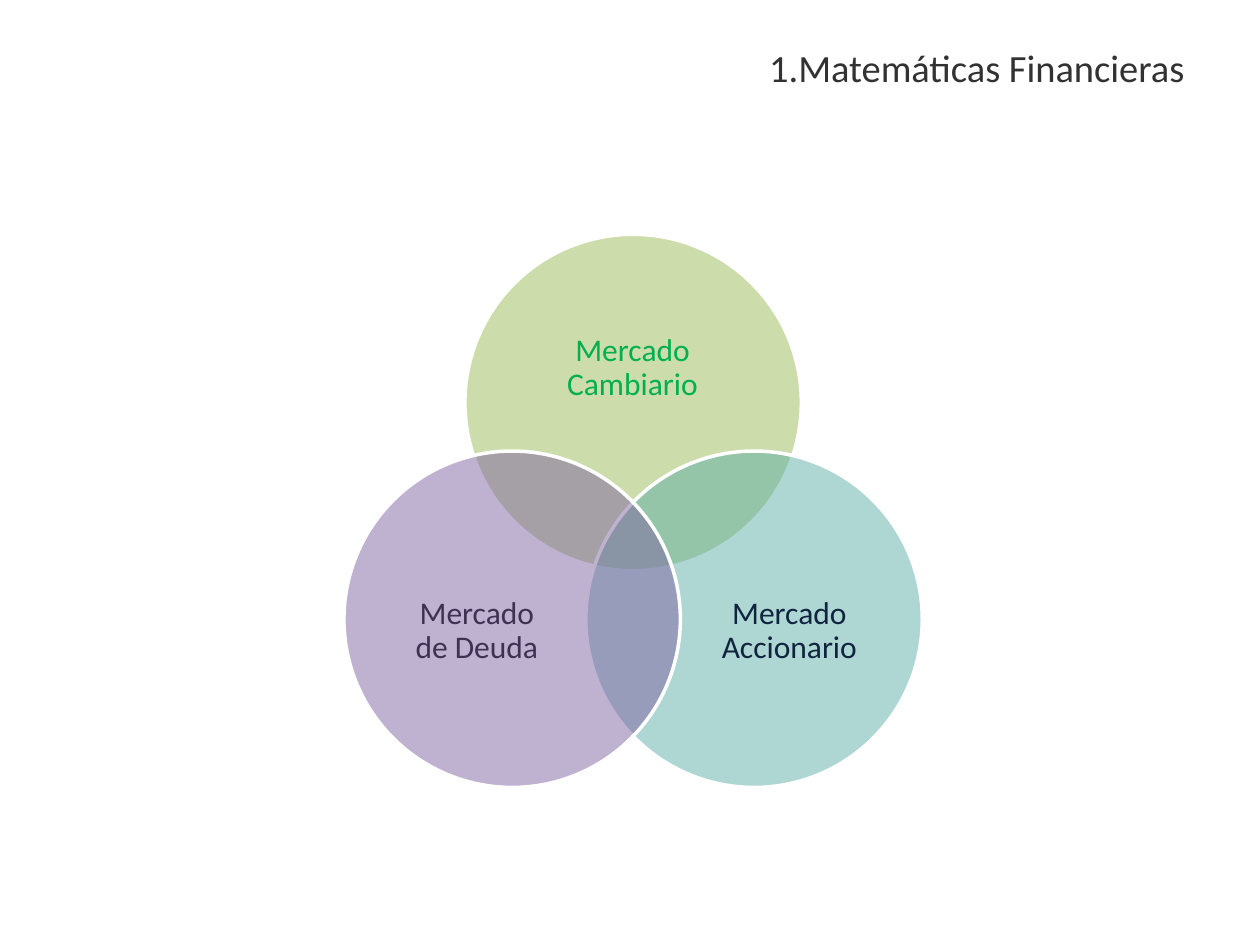
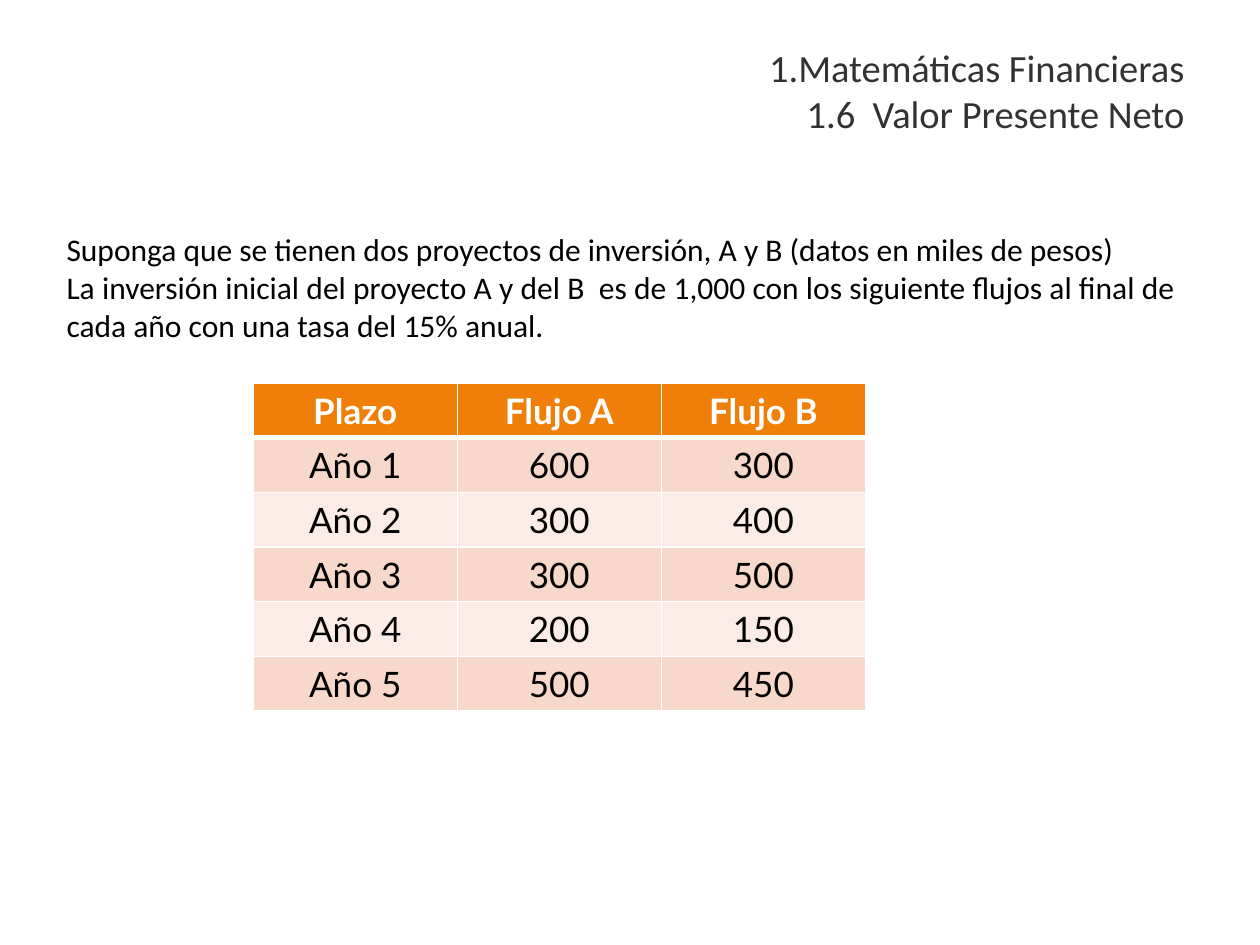
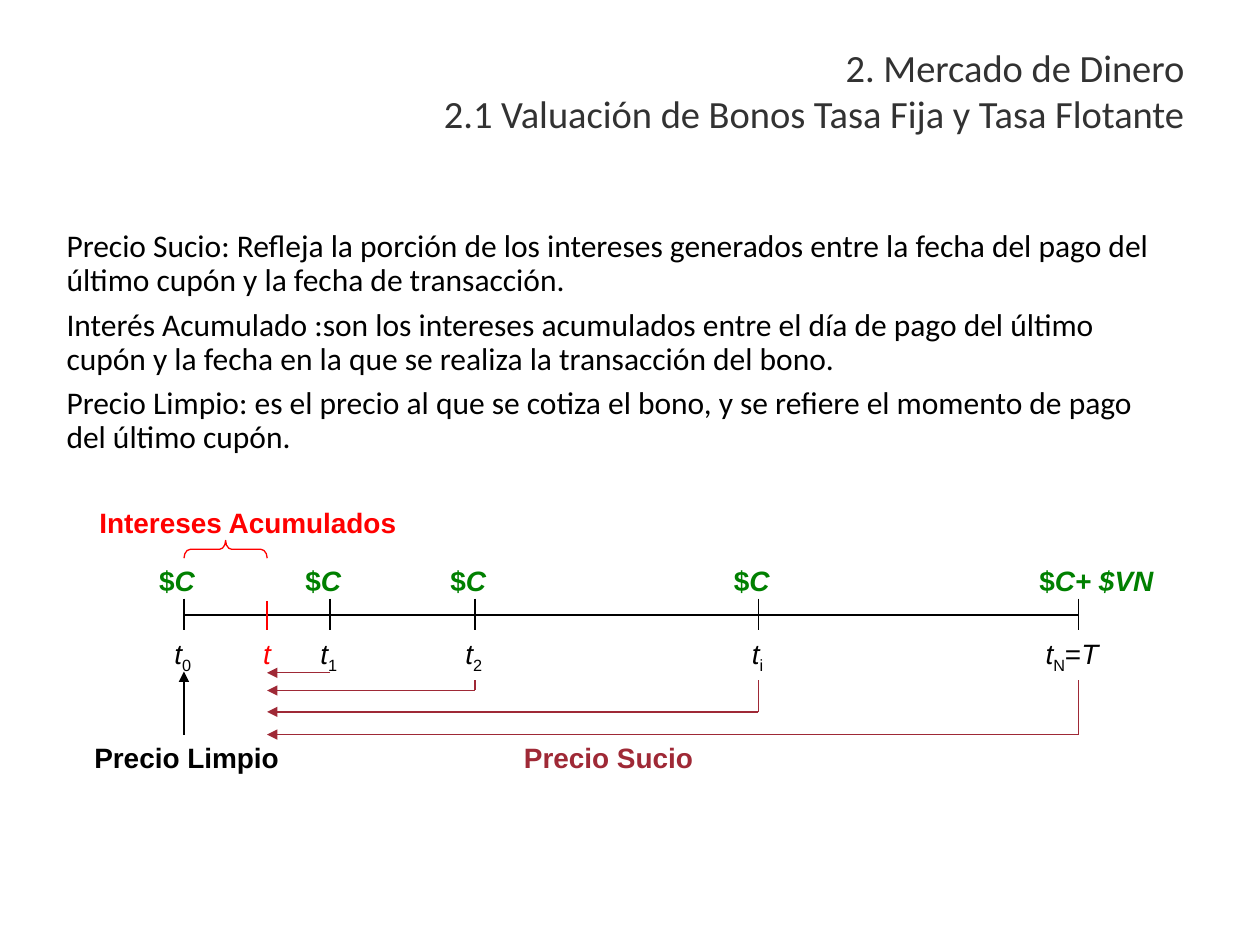
from dataclasses import dataclass, replace
from typing import NamedTuple

import lxml.etree
import pptx
import pptx.dml.color
import pptx.enum.shapes
import pptx.enum.text
import pptx.oxml.ns
import pptx.presentation
import pptx.shapes.autoshape
import pptx.shapes.connector
import pptx.slide
import pptx.table
import pptx.text.text
import pptx.util

RGB = pptx.dml.color.RGBColor
ALIGN = pptx.enum.text.PP_ALIGN
ANCHOR = pptx.enum.text.MSO_ANCHOR
SHAPE = pptx.enum.shapes.MSO_SHAPE
qn = pptx.oxml.ns.qn

WHITE = RGB(0xFF, 0xFF, 0xFF)
BLACK = RGB(0, 0, 0)
CHARCOAL = RGB(0x32, 0x32, 0x32)
LIME = RGB(0x9B, 0xBB, 0x59)
TEAL = RGB(0x5E, 0xAF, 0xA6)
PURPLE = RGB(0x80, 0x64, 0xA2)
EMERALD = RGB(0, 0xB0, 0x50)
NAVY = RGB(0x0F, 0x24, 0x3E)
PLUM = RGB(0x40, 0x31, 0x52)
ORANGE = RGB(0xF0, 0x7F, 0x09)
PEACH = RGB(0xF9, 0xD8, 0xCC)
PALE_PEACH = RGB(0xFC, 0xEC, 0xE7)
GREEN = RGB(0, 0x80, 0)
RED = RGB(0xFF, 0, 0)
WINE = RGB(0x9F, 0x29, 0x36)

SLIDE_WIDTH = pptx.util.Inches(10)
SLIDE_HEIGHT = pptx.util.Inches(7.5)
COLUMNS, ROWS = 100, 75


class Area(NamedTuple):
    left: float
    top: float
    width: float
    height: float


class Point(NamedTuple):
    column: float
    row: float


@dataclass(frozen=True)
class Span:
    text: str
    color: RGB = BLACK
    size: float = 18
    font: str = "Calibri"
    bold: bool = False
    italic: bool = False
    subscript: bool = False


@dataclass(frozen=True)
class ParaStyle:
    align: ALIGN = ALIGN.LEFT
    spacing: float = 1
    after: float = 0


@dataclass(frozen=True)
class Market:
    name: str
    circle: Point
    fill: RGB
    ink: RGB
    label: Area


@dataclass(frozen=True)
class Moment:
    column: float
    label: tuple[Span, ...]
    label_area: Area
    coupon: str
    coupon_area: Area
    centred: bool = True


@dataclass(frozen=True)
class Flow:
    column: float
    row: float
    drops: bool = True


TITLE_AREA = Area(5, 3, 90, 12.5)
BODY_AREA = Area(4.3, 17.8, 90, 50.4)

CIRCLE_SIZE = 26.7
MARKETS = [
    Market("Mercado Cambiario", Point(36.9, 18.6), LIME, EMERALD, Area(43.3, 25, 13.8, 8.5)),
    Market("Mercado Accionario", Point(46.5, 35.8), TEAL, NAVY, Area(57, 44.9, 11.3, 10.4)),
    Market("Mercado de Deuda", Point(27.3, 35.8), PURPLE, PLUM, Area(32.2, 44.9, 11.3, 10.4)),
]

PROJECT_TEXT = [
    "Suponga que se tienen dos proyectos de inversión, A y B (datos en miles de pesos)",
    "La inversión inicial del proyecto A y del B  es de 1,000 con los siguiente flujos al final de "
    "cada año con una tasa del 15% anual.",
]
FLOW_TABLE = [
    ("Plazo", "Flujo A", "Flujo B"),
    ("Año 1", "600", "300"),
    ("Año 2", "300", "400"),
    ("Año 3", "300", "500"),
    ("Año 4", "200", "150"),
    ("Año 5", "500", "450"),
]

PRICE_TEXT = [
    "Precio Sucio: Refleja la porción de los intereses generados entre la fecha del pago del "
    "último cupón y la fecha de transacción.",
    "Interés Acumulado :son los intereses acumulados entre el día de pago del último cupón y la "
    "fecha en la que se realiza la transacción del bono.",
    "Precio Limpio: es el precio al que se cotiza el bono, y se refiere el momento de pago del "
    "último cupón.",
]

AXIS_ROW, TICK_TOP, TICK_BOTTOM = 48.8, 47.5, 50
TEXT_HEIGHT = 3.3
COUPON_TOP = TICK_TOP - TEXT_HEIGHT
DROP_TOP = 54
TRADE_COLUMN = 21.2
SYMBOL = Span("t", size=16, font="Arial", italic=True)
CAPTION = Span("", size=16, font="Arial", bold=True)


def subscript(text: str) -> Span:
    return replace(SYMBOL, text=text, italic=False, subscript=True)


def payment(column: float, index: str, label_width: float = 3.5) -> Moment:
    return Moment(
        column,
        (SYMBOL, subscript(index)),
        Area(column - label_width / 2, TICK_BOTTOM, label_width, TEXT_HEIGHT),
        "C",
        Area(column - 2.95, COUPON_TOP, 5.9, TEXT_HEIGHT),
    )


MOMENTS = [
    payment(14.6, "0"),
    payment(26.2, "1"),
    payment(37.7, "2"),
    payment(60.2, "i", 3),
    Moment(
        85.6,
        (SYMBOL, subscript("N"), replace(SYMBOL, text="=", italic=False), replace(SYMBOL, text="T")),
        Area(82, TICK_BOTTOM, 6.4, TEXT_HEIGHT),
        "C+ $VN",
        Area(81.5, COUPON_TOP, 11.8, TEXT_HEIGHT),
        centred=False,
    ),
]
FLOWS = [Flow(26.2, 53.4, False), Flow(37.7, 54.8), Flow(60.2, 56.5), Flow(85.6, 58.3)]
CAPTIONS = [
    (Area(6.5, 58.3, 19.8, TEXT_HEIGHT), "Precio Limpio", BLACK),
    (Area(40.6, 58.3, 19.8, TEXT_HEIGHT), "Precio Sucio", WINE),
    (Area(6.9, 39.6, 27.8, TEXT_HEIGHT), "Intereses Acumulados", RED),
]


def across(columns: float) -> int:
    return round(SLIDE_WIDTH * columns / COLUMNS)


def down(rows: float) -> int:
    return round(SLIDE_HEIGHT * rows / ROWS)


def place(area: Area) -> tuple[int, int, int, int]:
    return across(area.left), down(area.top), across(area.width), down(area.height)


def add_span(para: pptx.text.text._Paragraph, span: Span) -> None:
    run = para.add_run()
    run.text = span.text
    font = run.font
    font.name, font.size = span.font, pptx.util.Pt(span.size)
    font.bold, font.italic = span.bold, span.italic
    font.color.rgb = span.color
    if span.subscript:
        run._r.get_or_add_rPr().set("baseline", "-25000")


def add_box(
    page: pptx.slide.Slide,
    area: Area,
    paras: list[tuple[Span, ...]],
    style: ParaStyle = ParaStyle(),
    wrap: bool = True,
) -> pptx.shapes.autoshape.Shape:
    box = page.shapes.add_textbox(*place(area))
    frame = box.text_frame
    frame.word_wrap = wrap
    for index, spans in enumerate(paras):
        para = frame.add_paragraph() if index else frame.paragraphs[0]
        para.alignment, para.line_spacing = style.align, style.spacing
        para.space_before, para.space_after = pptx.util.Pt(0), pptx.util.Pt(style.after)
        for span in spans:
            add_span(para, span)
    return box


def add_line(
    page: pptx.slide.Slide, start: Point, end: Point, color: RGB = BLACK, arrow: bool = False
) -> pptx.shapes.connector.Connector:
    line = page.shapes.add_connector(
        pptx.enum.shapes.MSO_CONNECTOR.STRAIGHT,
        across(start.column), down(start.row), across(end.column), down(end.row),
    )
    line.line.color.rgb = color
    line.line.width = pptx.util.Pt(0.75)
    properties = line.element.spPr
    if arrow:
        lxml.etree.SubElement(properties.find(qn("a:ln")), qn("a:tailEnd"), type="triangle")
    lxml.etree.SubElement(properties, qn("a:effectLst"))
    return line


def add_page(deck: pptx.presentation.Presentation, *title: str) -> pptx.slide.Slide:
    page = deck.slides.add_slide(deck.slide_layouts[6])
    lines = [(Span(text, CHARCOAL, 22),) for text in title]
    add_box(page, TITLE_AREA, lines, ParaStyle(ALIGN.RIGHT))
    return page


def add_market(page: pptx.slide.Slide, market: Market) -> None:
    circle = page.shapes.add_shape(
        SHAPE.OVAL, *place(Area(*market.circle, CIRCLE_SIZE, CIRCLE_SIZE))
    )
    circle.shadow.inherit = False
    circle.fill.solid()
    circle.fill.fore_color.rgb = market.fill
    tint = circle.element.spPr.find(".//" + qn("a:srgbClr"))
    lxml.etree.SubElement(tint, qn("a:alpha"), val="50000")
    circle.line.color.rgb = WHITE
    circle.line.width = pptx.util.Pt(2)
    label = add_box(
        page, market.label, [(Span(market.name, market.ink),)], ParaStyle(ALIGN.CENTER, 0.9)
    )
    frame = label.text_frame
    frame.vertical_anchor = ANCHOR.MIDDLE
    frame.margin_left = frame.margin_right = frame.margin_top = frame.margin_bottom = 0


def set_borders(cell: pptx.table._Cell, bottom: float) -> None:
    properties = cell._tc.get_or_add_tcPr()
    for side, points in {"L": 1, "R": 1, "T": 1, "B": bottom}.items():
        border = lxml.etree.SubElement(
            properties, qn(f"a:ln{side}"), w=str(pptx.util.Pt(points))
        )
        fill = lxml.etree.SubElement(border, qn("a:solidFill"))
        lxml.etree.SubElement(fill, qn("a:srgbClr"), val=str(WHITE))


def add_flow_table(page: pptx.slide.Slide) -> None:
    area = Area(20.1, 30.4, 48.6, 26)
    table = page.shapes.add_table(len(FLOW_TABLE), len(FLOW_TABLE[0]), *place(area)).table
    table.horz_banding = False
    for row, values in enumerate(FLOW_TABLE):
        header = row == 0
        fill = ORANGE if header else PEACH if row % 2 else PALE_PEACH
        for column, value in enumerate(values):
            cell = table.cell(row, column)
            set_borders(cell, 3 if header else 1)
            cell.fill.solid()
            cell.fill.fore_color.rgb = fill
            para = cell.text_frame.paragraphs[0]
            para.alignment = ALIGN.CENTER
            add_span(para, Span(value, WHITE if header else BLACK, 20, "Lato", header))


def add_moment(page: pptx.slide.Slide, moment: Moment) -> pptx.shapes.autoshape.Shape:
    dollar = replace(CAPTION, text="$", color=GREEN)
    amount = replace(dollar, text=moment.coupon, italic=True)
    coupon = add_box(page, moment.coupon_area, [(dollar, amount)])
    label = add_box(page, moment.label_area, [moment.label], wrap=False)
    tick = add_line(page, Point(moment.column, TICK_TOP), Point(moment.column, TICK_BOTTOM))
    if moment.centred:
        tick.begin_connect(coupon, 2)
        tick.end_connect(label, 0)
    return label


def add_trade_date(page: pptx.slide.Slide) -> None:
    label = add_box(
        page,
        Area(TRADE_COLUMN - 1.3, TICK_BOTTOM, 2.6, TEXT_HEIGHT),
        [(replace(SYMBOL, color=RED),)],
        wrap=False,
    )
    tick = add_line(page, Point(TRADE_COLUMN, 47.7), Point(TRADE_COLUMN, TICK_BOTTOM), RED)
    tick.end_connect(label, 0)
    brace = page.shapes.add_shape(SHAPE.LEFT_BRACE, *place(Area(17.2, 40.3, 1.4, 6.6)))
    brace.rotation = 90
    brace.adjustments[0] = 0.35
    brace.shadow.inherit = False
    brace.fill.background()
    brace.line.color.rgb = RED
    brace.line.width = pptx.util.Pt(0.75)


def add_timeline(page: pptx.slide.Slide) -> None:
    first, last = MOMENTS[0].column, MOMENTS[-1].column
    add_line(page, Point(first, AXIS_ROW), Point(last, AXIS_ROW))
    labels = [add_moment(page, moment) for moment in MOMENTS]
    add_trade_date(page)
    for flow in FLOWS:
        corner = Point(flow.column, flow.row)
        add_line(page, corner, Point(TRADE_COLUMN, flow.row), WINE, arrow=True)
        if flow.drops:
            add_line(page, Point(flow.column, DROP_TOP), corner, WINE)
    for area, text, color in CAPTIONS:
        add_box(page, area, [(replace(CAPTION, text=text, color=color),)])
    clean_price = add_line(page, Point(first, 58.3), Point(first, 53.3), arrow=True)
    clean_price.end_connect(labels[0], 2)


def main() -> None:
    deck = pptx.Presentation()
    deck.slide_width, deck.slide_height = SLIDE_WIDTH, SLIDE_HEIGHT

    page = add_page(deck, "1.Matemáticas Financieras")
    for market in MARKETS:
        add_market(page, market)

    page = add_page(deck, "1.Matemáticas Financieras", "1.6  Valor Presente Neto")
    add_box(page, BODY_AREA, [(Span(text),) for text in PROJECT_TEXT], ParaStyle(ALIGN.JUSTIFY))
    add_flow_table(page)

    page = add_page(
        deck, "2. Mercado de Dinero", "2.1 Valuación de Bonos Tasa Fija y Tasa Flotante"
    )
    add_box(page, BODY_AREA, [(Span(text),) for text in PRICE_TEXT], ParaStyle(spacing=0.9, after=6))
    add_timeline(page)

    deck.save("out.pptx")


if __name__ == "__main__":
    main()
